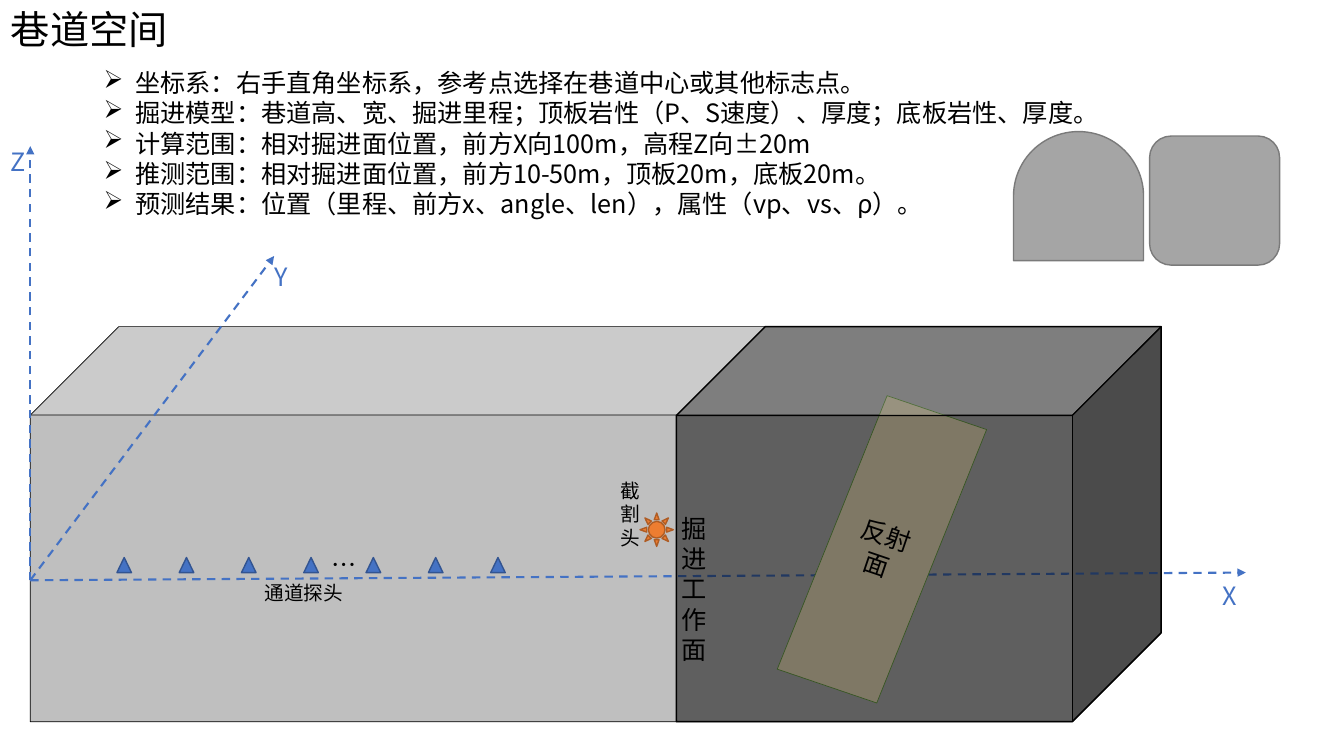
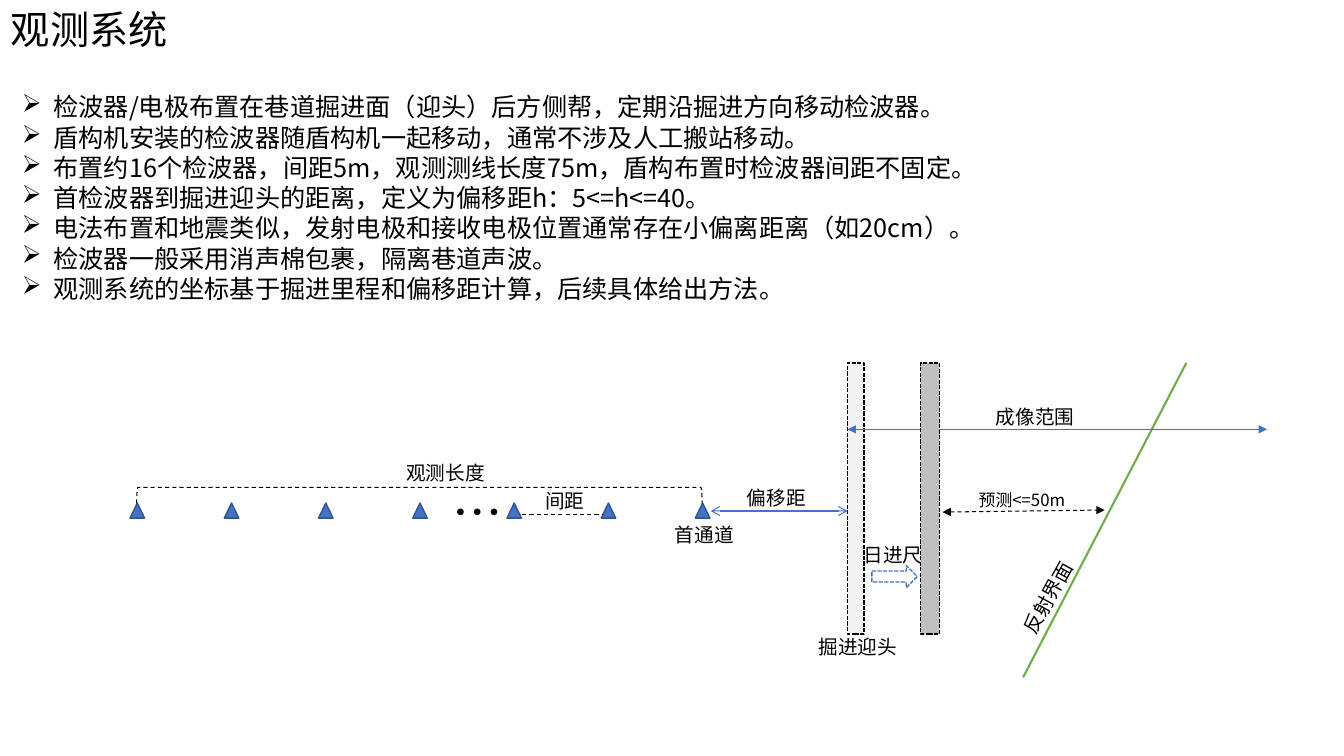
from lxml import etree
from pptx import Presentation
from pptx.dml.color import RGBColor
from pptx.enum import dml, shapes, text
from pptx.oxml.ns import qn
from pptx.util import Pt

FONT = "Noto Sans CJK SC"
BLACK, WHITE = "000000", "FFFFFF"
BLUE, NAVY, GREEN = "4472C4", "325491", "70AD47"
SILVER, GREY, DARK_GREY = "BFBFBF", "A5A5A5", "7A7A7A"
KIND = shapes.MSO_SHAPE
LINE = shapes.MSO_CONNECTOR.STRAIGHT
DASH, DOT = dml.MSO_LINE.DASH, dml.MSO_LINE.SQUARE_DOT


def draw(page, kind, place, edge, weight, fill=None, dash=None,
         head=None, tail=None, adjust=None, turn=0):
    """Add a shape at left, top, width, height, or a line from x, y to x, y."""
    place = [Pt(length) for length in place]
    if kind == LINE and isinstance(kind, shapes.MSO_CONNECTOR):
        item = page.shapes.add_connector(kind, *place)
    else:
        item = page.shapes.add_shape(kind, *place)
        item.shadow.inherit = False
        item.rotation = turn
        if adjust is not None:
            item.adjustments[0] = adjust
        if fill:
            item.fill.solid()
            item.fill.fore_color.rgb = RGBColor.from_string(fill)
        else:
            item.fill.background()
    item.line.color.rgb = RGBColor.from_string(edge)
    item.line.width = Pt(weight)
    if dash:
        item.line.dash_style = dash
    outline = item._element.spPr.find(qn("a:ln"))
    for tag, arrow in (("a:headEnd", head), ("a:tailEnd", tail)):
        if arrow:
            etree.SubElement(outline, qn(tag), type=arrow)
    if isinstance(kind, shapes.MSO_CONNECTOR):
        etree.SubElement(item._element.spPr, qn("a:effectLst"))
    return item


def write(box, words, size, colour=BLACK, align=text.PP_ALIGN.LEFT, bullet=None):
    """Fill a box with one paragraph per line of words."""
    frame = box.text_frame
    frame.word_wrap = True
    frame.text = words
    for para in frame.paragraphs:
        para.alignment = align
        if bullet:
            layout = para._p.get_or_add_pPr()
            layout.set("marL", str(Pt(22.5)))
            layout.set("indent", str(-Pt(22.5)))
            etree.SubElement(layout, qn("a:buChar"), char=bullet)
        for span in para.runs:
            span.font.size = Pt(size)
            span.font.color.rgb = RGBColor.from_string(colour)
            span.font.name = FONT
            etree.SubElement(span._r.get_or_add_rPr(), qn("a:ea"), typeface=FONT)


deck = Presentation()
deck.slide_width, deck.slide_height = Pt(960), Pt(540)
tunnel = deck.slides.add_slide(deck.slide_layouts[6])
survey = deck.slides.add_slide(deck.slide_layouts[6])

# Titles and bullet lists
tunnel_points = """坐标系：右手直角坐标系，参考点选择在巷道中心或其他标志点。
掘进模型：巷道高、宽、掘进里程；顶板岩性（P、S速度）、厚度；底板岩性、厚度。
计算范围：相对掘进面位置，前方X向100m，高程Z向±20m
推测范围：相对掘进面位置，前方10-50m，顶板20m，底板20m。
预测结果：位置（里程、前方x、angle、len），属性（vp、vs、ρ）。"""
survey_points = """检波器/电极布置在巷道掘进面（迎头）后方侧帮，定期沿掘进方向移动检波器。
盾构机安装的检波器随盾构机一起移动，通常不涉及人工搬站移动。
布置约16个检波器，间距5m，观测测线长度75m，盾构布置时检波器间距不固定。
首检波器到掘进迎头的距离，定义为偏移距h：5<=h<=40。
电法布置和地震类似，发射电极和接收电极位置通常存在小偏离距离（如20cm）。
检波器一般采用消声棉包裹，隔离巷道声波。
观测系统的坐标基于掘进里程和偏移距计算，后续具体给出方法。"""
for page, title, points, place in (
    (tunnel, "巷道空间", tunnel_points, (67, 44.6, 723.6, 116.6)),
    (survey, "观测系统", survey_points, (8.6, 62, 938, 160)),
):
    write(page.shapes.add_textbox(Pt(0.7), 0, Pt(473), Pt(41)), title, 28)
    box = page.shapes.add_textbox(*[Pt(length) for length in place])
    write(box, points, 18, bullet="➢")

# Tunnel block, then the seven probes of each slide
draw(tunnel, KIND.CUBE, (21.6, 233.3, 807.8, 282.2), BLACK, 0.5, SILVER, adjust=0.224)
for page, left, top, step in ((tunnel, 83.5, 398.2, 44.5), (survey, 92.9, 359.3, 67.3)):
    for index in range(7):
        place = (left + index * step, top, 10.4, 10.8)
        draw(page, KIND.ISOSCELES_TRIANGLE, place, NAVY, 1, BLUE)
draw(tunnel, KIND.SUN, (457.2, 366.5, 23.8, 23.8), "AF5C24", 1, "ED7D31")

# Axes, reflector and the rock ahead that covers them
for end in ((21.6, 104.4), (195.8, 182.9), (889.9, 409)):
    draw(tunnel, LINE, (21.6, 414.5, *end), BLUE, 1.5, dash=DASH, tail="triangle")
reflector = draw(tunnel, KIND.PARALLELOGRAM, (586.8, 287.3, 86.4, 210.2), GREEN, 0.5,
                 "FFF2CC", adjust=0.131, turn=18.8)
reflector.text_frame.vertical_anchor = text.MSO_ANCHOR.MIDDLE
write(reflector, "反射面", 18, align=text.PP_ALIGN.CENTER)
rock = draw(tunnel, KIND.CUBE, (483.1, 233.3, 346.3, 282.2), BLACK, 1, BLACK, adjust=0.225)
rock_colour = rock._element.spPr.find(qn("a:solidFill")).find(qn("a:srgbClr"))
etree.SubElement(rock_colour, qn("a:alpha"), val="50000")

# Tunnel cross-sections
for kind, left, top in ((KIND.FLOWCHART_DELAY, 724.3, 93.6), (KIND.ROUNDED_RECTANGLE, 821.5, 96.8)):
    draw(tunnel, kind, (left, top, 92.2, 92.9), DARK_GREY, 1, GREY, turn=270)

# Survey layout: heading faces, spans and reflecting interface
draw(survey, KIND.LEFT_BRACKET, (293.8, 151.9, 11.5, 403.9), BLACK, 0.75, dash=DASH, turn=90)
draw(survey, KIND.RECTANGLE, (605.5, 259.2, 11.8, 193.7), BLACK, 1, "F2F2F2", DOT)
for place, edge, weight, dash, arrow in (
    ((507.6, 365, 605.5, 365), BLUE, 0.75, None, "arrow"),
    ((373, 367.2, 429.8, 367.2), BLACK, 0.75, DASH, None),
    ((847.4, 259.2, 730.8, 483.8), GREEN, 1.5, None, None),
    ((673.2, 365.8, 789.1, 364.3), BLACK, 0.75, DASH, "triangle"),
    ((905, 306.7, 605.5, 306.7), BLUE, 0.5, None, "triangle"),
):
    draw(survey, LINE, place, edge, weight, dash=dash, head=arrow, tail=arrow)
draw(survey, KIND.RECTANGLE, (657.4, 259.2, 13.7, 193.7), BLACK, 1, SILVER, DOT)
draw(survey, KIND.RIGHT_ARROW, (622.8, 403.9, 32.4, 15.8), BLUE, 1, WHITE, DOT)

# Labels
LEFT, CENTER = text.PP_ALIGN.LEFT, text.PP_ALIGN.CENTER
for page, words, size, colour, align, turn, place in (
    (tunnel, "通道探头", 14, BLACK, CENTER, 0, (161.3, 414.7, 111.6, 17.3)),
    (tunnel, "…", 18, BLACK, LEFT, 0, (236.9, 392.4, 23.8, 21.6)),
    (tunnel, "截割头", 14, BLACK, LEFT, 0, (443.5, 342, 14, 51)),
    (tunnel, "掘进工作面", 18, BLACK, LEFT, 0, (486.7, 366.5, 27.4, 108.7)),
    (tunnel, "X", 18, BLUE, LEFT, 0, (873.4, 414.7, 28, 21.6)),
    (tunnel, "Y", 18, BLUE, LEFT, 0, (195.8, 186.5, 16.6, 21.6)),
    (tunnel, "Z", 18, BLUE, LEFT, 0, (7.2, 104.4, 28, 21.6)),
    (survey, "…", 36, BLACK, LEFT, 0, (323.3, 343.4, 39.6, 43.9)),
    (survey, "掘进迎头", 14, BLACK, LEFT, 0, (584.6, 453.6, 57, 17.3)),
    (survey, "间距", 14, BLACK, LEFT, 0, (389.5, 349.2, 31.7, 17.3)),
    (survey, "观测长度", 14, BLACK, LEFT, 0, (290.2, 329, 64, 17.3)),
    (survey, "反射界面", 14, BLACK, LEFT, 298.7, (716.4, 411.1, 72.7, 17.3)),
    (survey, "首通道", 14, BLACK, CENTER, 0, (473, 373.7, 60.5, 17.3)),
    (survey, "预测<=50m", 12, BLACK, LEFT, 0, (699.1, 349.9, 72.7, 14.4)),
    (survey, "偏移距", 14, BLACK, LEFT, 0, (533.5, 347, 54.7, 17.3)),
    (survey, "日进尺", 14, BLACK, LEFT, 0, (617, 388.1, 54.7, 17.3)),
    (survey, "成像范围", 14, BLACK, LEFT, 0, (711.4, 289.4, 64, 17.3)),
):
    box = page.shapes.add_textbox(*[Pt(length) for length in place])
    box.rotation = turn
    frame = box.text_frame
    frame.margin_left = frame.margin_top = frame.margin_right = frame.margin_bottom = 0
    write(box, words, size, colour, align)

deck.save("out.pptx")
